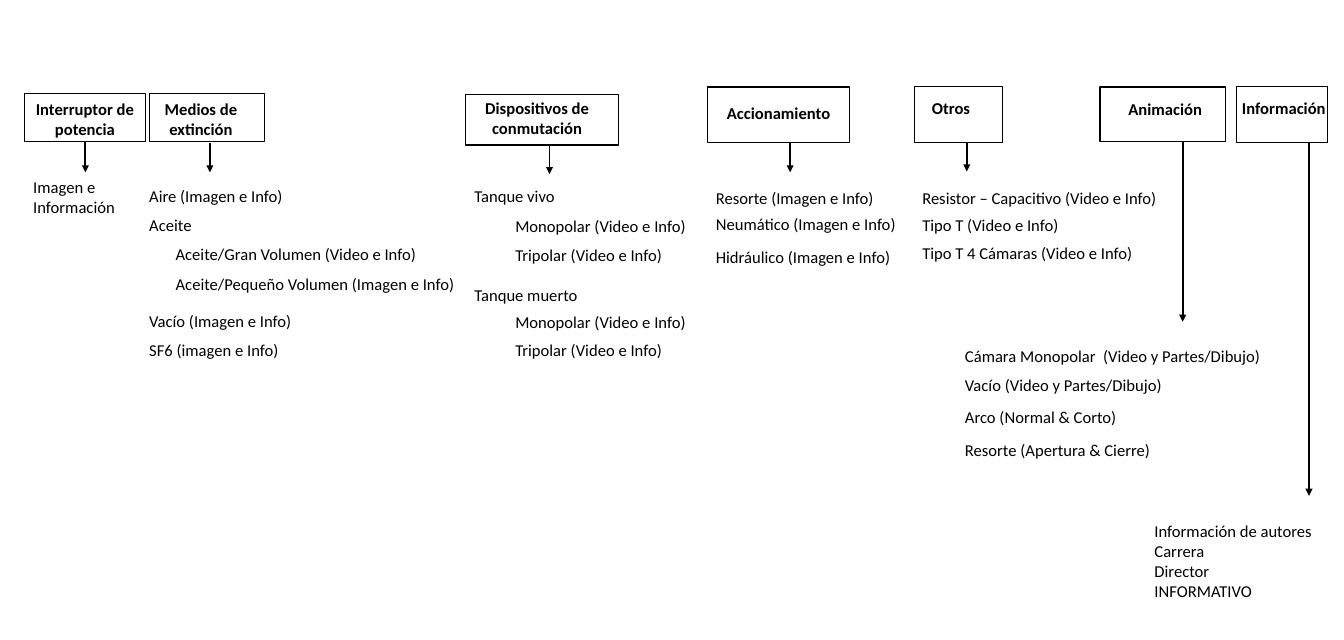
import pptx
import pptx.dml.color
import pptx.enum.shapes
import pptx.enum.text
import pptx.oxml.ns
import pptx.util
from lxml import etree

PX = 9144
BLACK = pptx.dml.color.RGBColor(0x00, 0x00, 0x00)
WHITE = pptx.dml.color.RGBColor(0xFF, 0xFF, 0xFF)
BODY_FONT = {"name": "Calibri", "size": pptx.util.Pt(14), "bold": False}
HEADING_FONT = {**BODY_FONT, "bold": True}
LINE_HEIGHT = 34
BOTTOM_SITE = 2

COLUMNS = [
    {
        "box": (29, 110, 142, 56),
        "heading": ("Interruptor de potencia", 29, 111, 141, 57),
        "arrow": (100, 166, 202),
        "items": [("Imagen e Información", 29, 202, 141, 57)],
    },
    {
        "box": (175, 110, 135, 56),
        "heading": ("Medios de extinción", 165, 111, 141, 57),
        "arrow": (246, 168, 202),
        "items": [
            ("Aire (Imagen e Info)", 165, 213, 218, LINE_HEIGHT),
            ("Aceite", 165, 247, 218, LINE_HEIGHT),
            ("Aceite/Gran Volumen (Video e Info)", 196, 281, 383, LINE_HEIGHT),
            ("Aceite/Pequeño Volumen (Imagen e Info)", 196, 316, 432, LINE_HEIGHT),
            ("Vacío (Imagen e Info)", 165, 359, 254, LINE_HEIGHT),
            ("SF6 (imagen e Info)", 165, 394, 218, LINE_HEIGHT),
        ],
    },
    {
        "box": (546, 111, 179, 59),
        "heading": ("Dispositivos de conmutación", 546, 110, 167, 57),
        "arrow": (644, 170, 204),
        "items": [
            ("Tanque vivo", 546, 213, 218, LINE_HEIGHT),
            ("Monopolar (Video e Info)", 594, 248, 238, LINE_HEIGHT),
            ("Tripolar (Video e Info)", 594, 282, 218, LINE_HEIGHT),
            ("Tanque muerto", 546, 329, 218, LINE_HEIGHT),
            ("Monopolar (Video e Info)", 594, 361, 238, LINE_HEIGHT),
            ("Tripolar (Video e Info)", 594, 394, 218, LINE_HEIGHT),
        ],
    },
    {
        "box": (829, 102, 167, 65),
        "heading": ("Accionamiento", 829, 116, 167, LINE_HEIGHT),
        "arrow": (926, 168, 202),
        "items": [
            ("Resorte (Imagen e Info)", 829, 215, 218, LINE_HEIGHT),
            ("Neumático (Imagen e Info)", 829, 246, 238, LINE_HEIGHT),
            ("Hidráulico (Imagen e Info)", 829, 285, 247, LINE_HEIGHT),
        ],
    },
    {
        "box": (1072, 101, 103, 66),
        "heading": ("Otros", 1031, 110, 167, LINE_HEIGHT),
        "arrow": (1133, 167, 201),
        "items": [
            ("Resistor – Capacitivo (Video e Info)", 1071, 215, 314, LINE_HEIGHT),
            ("Tipo T (Video e Info)", 1071, 247, 218, LINE_HEIGHT),
            ("Tipo T 4 Cámaras (Video e Info)", 1071, 280, 270, LINE_HEIGHT),
        ],
    },
    {
        "box": (1289, 102, 147, 64),
        "heading": ("Animación", 1282, 111, 167, LINE_HEIGHT),
        "arrow": (1386, 167, 377),
        "items": [
            ("Cámara Monopolar  (Video y Partes/Dibujo)", 1121, 400, 376, LINE_HEIGHT),
            ("Vacío (Video y Partes/Dibujo)", 1121, 435, 272, LINE_HEIGHT),
            ("Arco (Normal & Corto)", 1121, 472, 207, LINE_HEIGHT),
            ("Resorte (Apertura & Cierre)", 1121, 511, 272, LINE_HEIGHT),
        ],
    },
    {
        "box": (1449, 101, 107, 66),
        "heading": ("Información", 1434, 110, 141, LINE_HEIGHT),
        "arrow": (1534, 167, 581),
        "items": [
            ("Información de autores\nCarrera\nDirector\nINFORMATIVO", 1343, 606, 212, 104),
        ],
    },
]


def to_emu(*lengths):
    return [pptx.util.Emu(length * PX) for length in lengths]


def set_attributes(target, values):
    for name, value in values.items():
        setattr(target, name, value)


def add_box(slide, left, top, width, height):
    box = slide.shapes.add_shape(
        pptx.enum.shapes.MSO_SHAPE.RECTANGLE, *to_emu(left, top, width, height)
    )
    box.shadow.inherit = False
    box.fill.solid()
    box.fill.fore_color.rgb = WHITE
    box.line.color.rgb = BLACK
    box.line.width = pptx.util.Pt(1)
    return box


def add_text(slide, text, left, top, width, height, font=BODY_FONT, alignment=None):
    text_box = slide.shapes.add_textbox(*to_emu(left, top, width, height))
    frame = text_box.text_frame
    frame.text = text
    set_attributes(frame, {
        "word_wrap": True,
        "auto_size": pptx.enum.text.MSO_AUTO_SIZE.SHAPE_TO_FIT_TEXT,
    })
    for paragraph in frame.paragraphs:
        paragraph.alignment = alignment
        for run in paragraph.runs:
            set_attributes(run.font, font)
            run.font.color.rgb = BLACK


def add_arrow(slide, x, top, bottom):
    arrow = slide.shapes.add_connector(
        pptx.enum.shapes.MSO_CONNECTOR.STRAIGHT, *to_emu(x, top, x, bottom)
    )
    arrow.line.color.rgb = BLACK
    arrow.line.width = pptx.util.Pt(1.5)
    line = arrow.line._get_or_add_ln()
    etree.SubElement(line, pptx.oxml.ns.qn("a:tailEnd"), type="triangle")
    etree.SubElement(arrow._element.spPr, pptx.oxml.ns.qn("a:effectLst"))
    return arrow


def add_column(slide, column):
    box = add_box(slide, *column["box"])
    add_text(slide, *column["heading"], HEADING_FONT, pptx.enum.text.PP_ALIGN.CENTER)
    for item in column["items"]:
        add_text(slide, *item)
    arrow = add_arrow(slide, *column["arrow"])
    if arrow.begin_x == box.left + box.width // 2:
        arrow.begin_connect(box, BOTTOM_SITE)


def main():
    presentation = pptx.Presentation()
    presentation.slide_width, presentation.slide_height = to_emu(1575, 750)
    slide = presentation.slides.add_slide(presentation.slide_layouts[6])
    for column in COLUMNS:
        add_column(slide, column)
    presentation.save("out.pptx")


if __name__ == "__main__":
    main()
